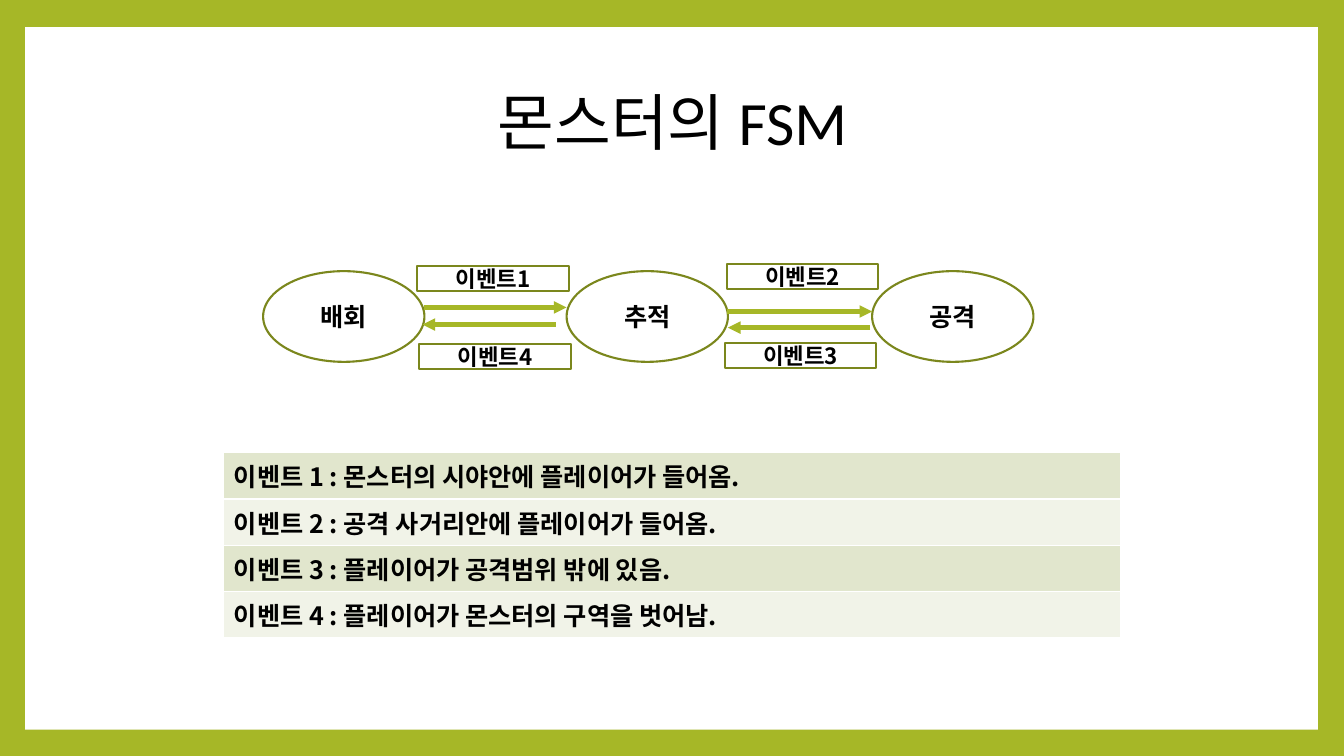
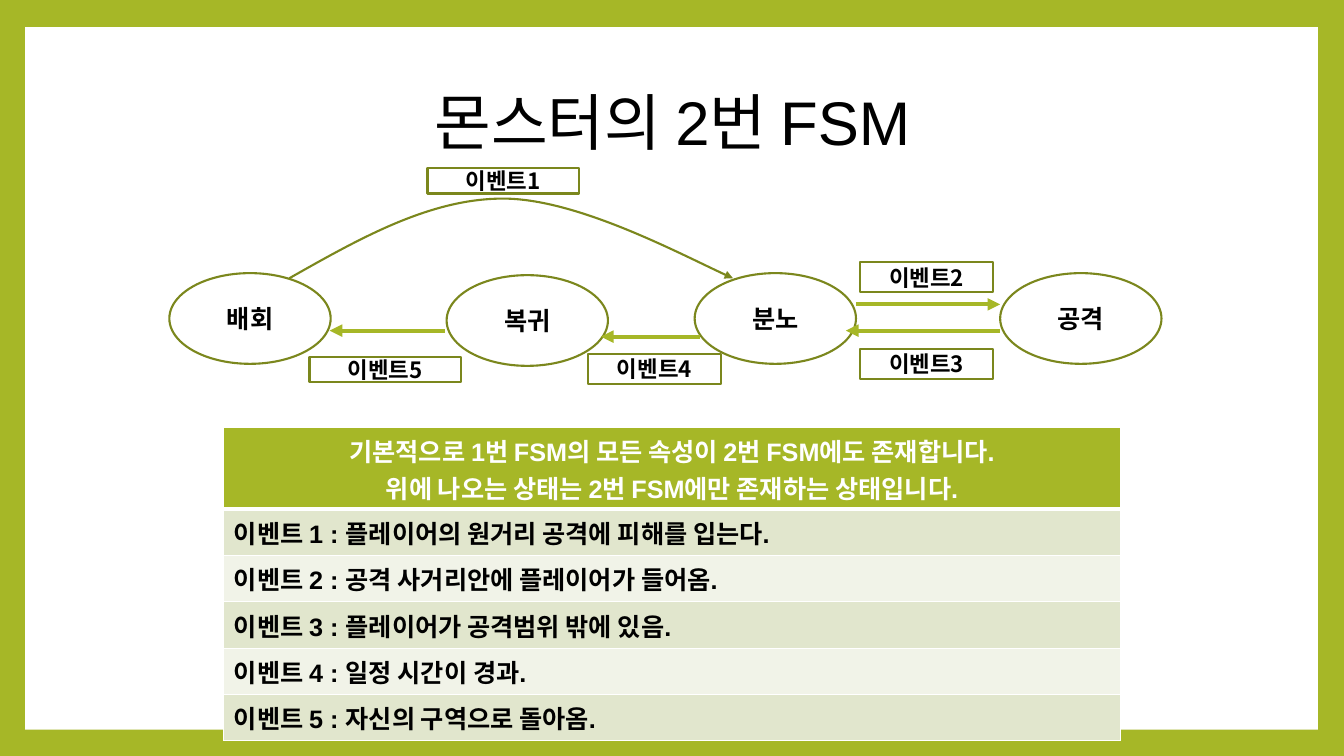
from lxml.etree import SubElement as Sub
from pptx import Presentation
from pptx.dml.color import RGBColor as RGB
from pptx.enum.shapes import MSO_CONNECTOR as Link, MSO_SHAPE as Form
from pptx.enum.text import MSO_ANCHOR as Anchor, PP_ALIGN as Align
from pptx.oxml.ns import qn
from pptx.util import Inches, Pt

# Shared look
LIME, OLIVE, WHITE, BLACK = "A6B727", "7B871D", "FFFFFF", "000000"
BANDS = ["E1E6CD", "F1F3E8"]
NOTO = "Noto Sans CJK KR"
TITLE = {"size": Pt(44), "name": "Calibri"}
STATE = {"size": Pt(18), "name": NOTO, "bold": True}
EVENT = {"size": Pt(16), "name": NOTO, "bold": True}
OVAL = (1.6, 0.9)
WIDE, SHORT = (1.5, 0.25), (1.32, 0.3)


def color(text):
    return RGB.from_string(text)


def paint(fill, tint):
    fill.solid()
    fill.fore_color.rgb = color(tint)


def stroke(line, tint, width):
    line.color.rgb = color(tint)
    line.width = Pt(width)


def point(line):
    """Put an arrowhead at the end of a line."""
    Sub(line._get_or_add_ln(), qn("a:tailEnd"), type="triangle")


def write(frame, lines, style, tint=BLACK, **layout):
    """Fill a text frame, one paragraph for each line."""
    frame.word_wrap = True
    for i, line in enumerate(lines):
        para = frame.paragraphs[0] if i == 0 else frame.add_paragraph()
        for key, value in layout.items():
            setattr(para, key, value)
        run = para.add_run()
        run.text = line
        for key, value in style.items():
            setattr(run.font, key, value)
        run.font.color.rgb = color(tint)
        Sub(run._r.get_or_add_rPr(), qn("a:ea"), typeface=NOTO)


def start(deck, title, font):
    """Add a slide with the white panel and its title."""
    slide = deck.slides.add_slide(deck.slide_layouts[6])
    panel = slide.shapes.add_shape(
        Form.RECTANGLE, Inches(0.25), Inches(0.27), Inches(12.82), Inches(6.97))
    panel.shadow.inherit = False
    paint(panel.fill, WHITE)
    panel.line.fill.background()
    box = slide.shapes.add_textbox(
        Inches(1.27), Inches(0.51), Inches(10.8), Inches(1.48))
    box.text_frame.vertical_anchor = Anchor.MIDDLE
    write(box.text_frame, [title], TITLE | {"name": font},
          alignment=Align.CENTER, line_spacing=0.9)
    return slide


def node(slide, form, text, x, y, size, style):
    """Add an outlined shape with centred text."""
    shape = slide.shapes.add_shape(form, *map(Inches, (x, y, *size)))
    shape.shadow.inherit = False
    shape.fill.background()
    stroke(shape.line, OLIVE, 1.5)
    shape.text_frame.vertical_anchor = Anchor.MIDDLE
    write(shape.text_frame, [text], style, alignment=Align.CENTER)


def states(slide, items):
    for text, x, y in items:
        node(slide, Form.OVAL, text, x, y, OVAL, STATE)


def events(slide, items):
    for num, x, y, size in items:
        node(slide, Form.RECTANGLE, f"이벤트{num}", x, y, size, EVENT)


def arrows(slide, items):
    """Add level arrows given as from x, to x, y."""
    for x1, x2, y in items:
        line = slide.shapes.add_connector(
            Link.STRAIGHT, Inches(x1), Inches(y), Inches(x2), Inches(y))
        stroke(line.line, LIME, 3)
        point(line.line)
        Sub(line._element.spPr, qn("a:effectLst"))


def curve(slide, first, *rest):
    """Add a Bezier arrow; each three points after the first make a segment."""
    pen = slide.shapes.build_freeform(*map(Inches, first))
    pen.add_line_segments([tuple(map(Inches, p)) for p in rest], close=False)
    shape = pen.convert_to_shape()
    legs = list(shape._element.iter(qn("a:lnTo")))
    for i in range(0, len(legs), 3):
        bend = Sub(legs[i].getparent(), qn("a:cubicBezTo"))
        for leg in legs[i:i + 3]:
            bend.append(leg[0])
            leg.getparent().remove(leg)
    shape.shadow.inherit = False
    shape.fill.background()
    stroke(shape.line, OLIVE, 1.5)
    point(shape.line)


def edge(cell, **widths):
    """Draw white cell borders with widths in points."""
    props = cell._tc.get_or_add_tcPr()
    for side, width in widths.items():
        line = Sub(props, qn(f"a:ln{side}"), w=str(Pt(width)))
        Sub(Sub(line, qn("a:solidFill")), qn("a:srgbClr"), val=WHITE)


def chart(slide, top, texts, font, head=()):
    """Add the table of events, with a header row if there is one."""
    style = STATE | {"name": font}
    rows = len(texts) + bool(head)
    high = 0.46 * len(texts) + (0.81 if head else 0)
    grid = slide.shapes.add_table(
        rows, 1, Inches(2.22), Inches(top), Inches(8.89), Inches(high)).table
    grid.first_row = bool(head)
    grid.horz_banding = False
    for row in grid.rows:
        row.height = Inches(0.46)
    cells = [grid.cell(i, 0) for i in range(rows)]
    if head:
        grid.rows[0].height = Inches(0.81)
        top_cell = cells.pop(0)
        edge(top_cell, L=1, R=1, T=1, B=3)
        paint(top_cell.fill, LIME)
        write(top_cell.text_frame, head, style, WHITE, alignment=Align.CENTER)
    for i, (cell, text) in enumerate(zip(cells, texts)):
        edge(cell, L=1, R=1, T=3 if head and i == 0 else 1, B=1)
        paint(cell.fill, BANDS[i % 2])
        write(cell.text_frame, [f"이벤트 {i + 1} : {text}"], style)


def basic(deck):
    slide = start(deck, "몬스터의 FSM", "Calibri")
    states(slide, [("배회", 2.61, 2.69), ("추적", 5.62, 2.69),
                   ("공격", 8.65, 2.69)])
    events(slide, [(1, 4.14, 2.64, WIDE), (2, 7.21, 2.62, WIDE),
                   (3, 7.19, 3.4, WIDE), (4, 4.16, 3.41, WIDE)])
    arrows(slide, [(4.21, 5.62, 3.05), (7.21, 8.65, 3.09),
                   (5.51, 4.19, 3.22), (8.63, 7.22, 3.25)])
    chart(slide, 4.49, ["몬스터의 시야안에 플레이어가 들어옴.",
                        "공격 사거리안에 플레이어가 들어옴.",
                        "플레이어가 공격범위 밖에 있음.",
                        "플레이어가 몬스터의 구역을 벗어남."], NOTO)


def second(deck):
    slide = start(deck, "몬스터의 2번 FSM", "Arial")
    states(slide, [("배회", 1.68, 2.71), ("복귀", 4.43, 2.73),
                   ("분노", 6.89, 2.71), ("공격", 9.92, 2.71)])
    events(slide, [(1, 4.24, 1.67, WIDE), (2, 8.53, 2.6, SHORT),
                   (3, 8.53, 3.46, SHORT), (4, 5.83, 3.51, SHORT),
                   (5, 3.07, 3.54, WIDE)])
    arrows(slide, [(4.41, 3.27, 3.28), (6.94, 5.96, 3.34),
                   (8.49, 9.92, 3.02), (9.92, 8.39, 3.28)])
    curve(slide, (2.87, 2.76), (3.56, 2.37), (4.26, 1.97), (4.99, 1.97),
          (5.72, 1.97), (6.82, 2.56), (7.27, 2.76))
    chart(slide, 4.24, ["플레이어의 원거리 공격에 피해를 입는다.",
                        "공격 사거리안에 플레이어가 들어옴.",
                        "플레이어가 공격범위 밖에 있음.",
                        "일정 시간이 경과.",
                        "자신의 구역으로 돌아옴."], "Arial",
          ["기본적으로 1번 FSM의 모든 속성이 2번 FSM에도 존재합니다.",
           "위에 나오는 상태는 2번 FSM에만 존재하는 상태입니다."])


def main():
    deck = Presentation()
    deck.slide_width, deck.slide_height = Inches(13.33), Inches(7.5)
    paint(deck.slide_master.background.fill, LIME)
    basic(deck)
    second(deck)
    deck.save("out.pptx")


if __name__ == "__main__":
    main()
